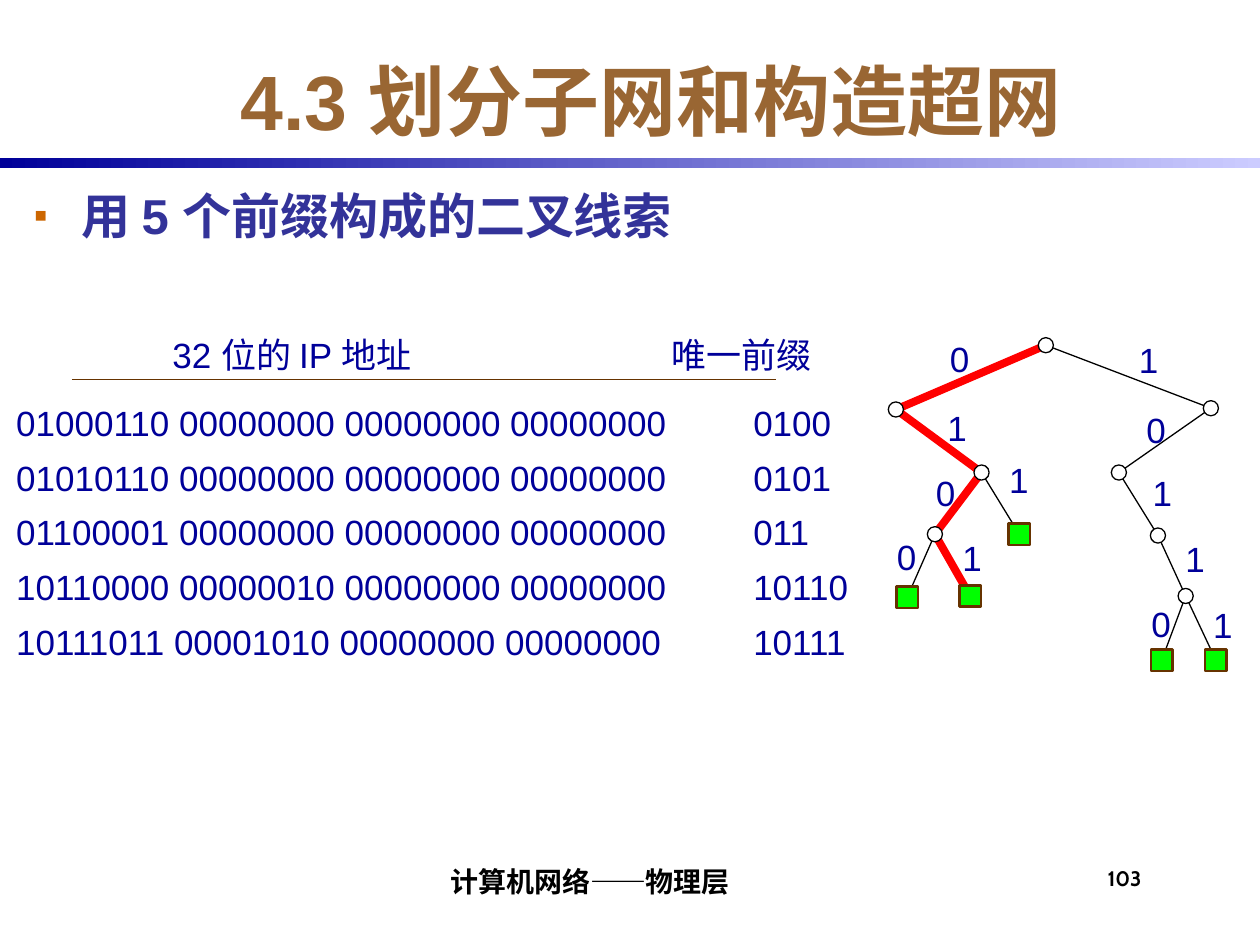
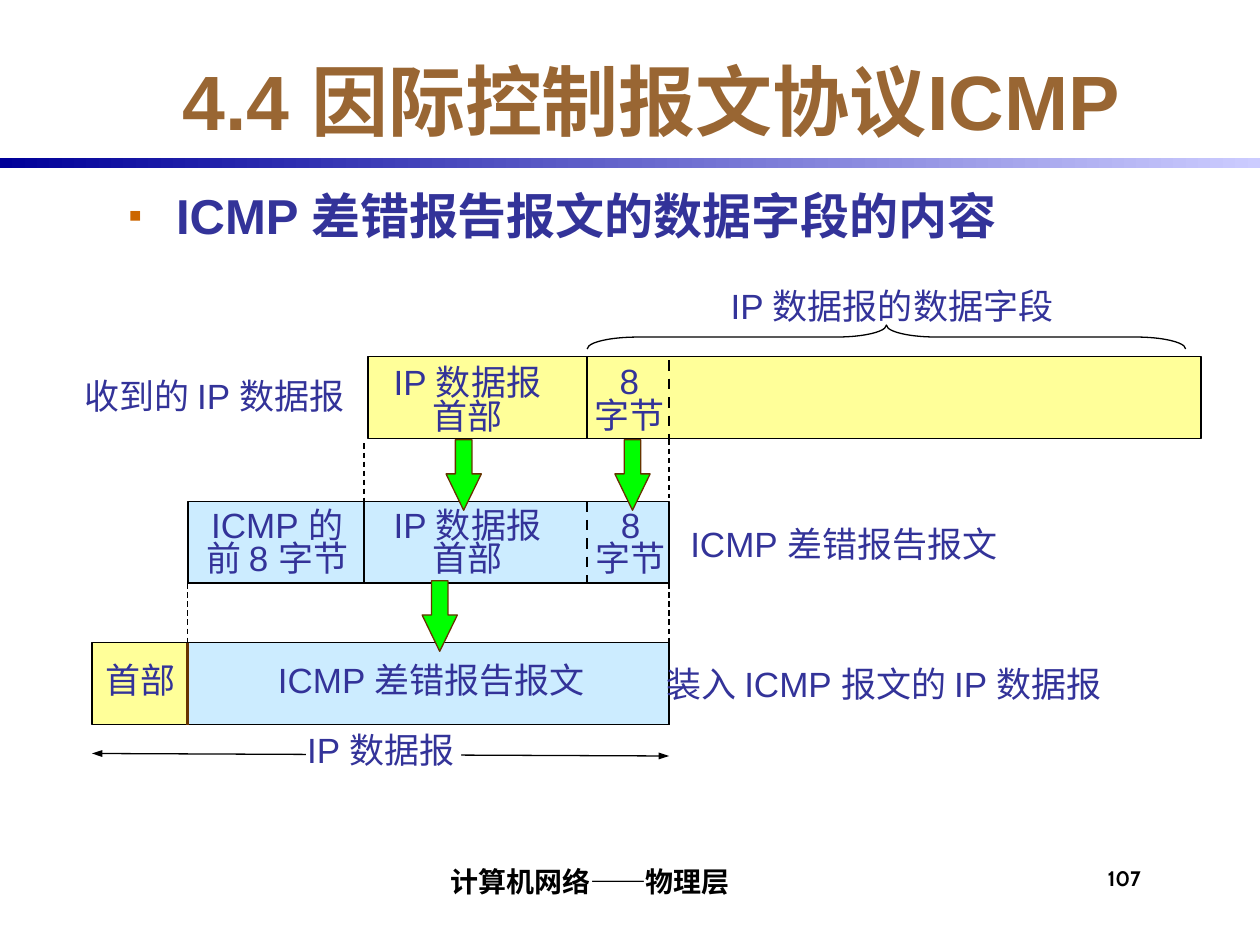
import pptx
import pptx.util
import pptx.dml.color
import pptx.enum.dml
import pptx.enum.shapes
import pptx.enum.text
import pptx.oxml.ns
from lxml import etree

Inches, Pt = pptx.util.Inches, pptx.util.Pt
SHAPE = pptx.enum.shapes.MSO_SHAPE
ALIGN = pptx.enum.text.PP_ALIGN
ANCHOR = pptx.enum.text.MSO_ANCHOR
FIT = pptx.enum.text.MSO_AUTO_SIZE


class Theme:
    title, body, bullet, code = "996633", "333399", "CC6600", "000099"
    black, white, brown = "000000", "FFFFFF", "663300"
    green, red, yellow, sky = "00FF00", "FF0000", "FFFF99", "CCECFF"
    band = ("000099", "CCCCFF")
    font, footer_font = "Arial", "Cabin"
    title_size, body_size, text_size, footer_size, number_size = 44, 28, 20, 16, 12
    thin, medium, thick, trail = 0.75, 1, 1.5, 4.5


# Content shared by the slides
FOOTER = "计算机网络——物理层"

# Content: prefix tree
TRIE = dict(title="4.3 划分子网和构造超网", heading="用 5 个前缀构成的二叉线索",
            heading_box=(0.17, 1.42, 9.48, 5), number="103")
ADDRESS_HEAD = ("32 位的 IP 地址", "唯一前缀")
ADDRESSES = [
    ("01000110 00000000 00000000 00000000", "0100"),
    ("01010110 00000000 00000000 00000000", "0101"),
    ("01100001 00000000 00000000 00000000", "011"),
    ("10110000 00000010 00000000 00000000", "10110"),
    ("10111011 00001010 00000000 00000000", "10111"),
]
# prefix: (centre of node, corner of the label on the edge leading to it)
NODES = {
    "": ((8.3, 2.74), None),
    "0": ((7.11, 3.25), (7.44, 2.63)),
    "1": ((9.61, 3.24), (8.94, 2.64)),
    "01": ((7.79, 3.75), (7.42, 3.18)),
    "10": ((8.88, 3.75), (9, 3.19)),
    "010": ((7.42, 4.24), (7.33, 3.69)),
    "101": ((9.19, 4.25), (9.05, 3.69)),
    "1011": ((9.41, 4.73), (9.31, 4.22)),
    "0100": ((7.2, 4.74), (7.02, 4.2)),
    "0101": ((7.7, 4.73), (7.54, 4.21)),
    "011": ((8.09, 4.24), (7.91, 3.59)),
    "10110": ((9.22, 5.24), (9.04, 4.73)),
    "10111": ((9.65, 5.24), (9.53, 4.74)),
}
LEAVES = [prefix for _, prefix in ADDRESSES]
TRAILS = [("10111", Theme.black, Theme.thin), ("0101", Theme.red, Theme.trail)]
BRANCHES = ["0100", "011", "10110"]

# Content: ICMP error report
ICMP = dict(title="4.4 因际控制报文协议ICMP", heading="ICMP 差错报告报文的数据字段的内容",
            heading_box=(0.92, 1.42, 8.5, 5), number="107")
X_HEAD, X_ICMP, X_IP, X_DATA, X_END = 0.73, 1.49, 2.89, 4.66, 5.31
Y_RECEIVED, Y_REPORT, Y_PACKET, BAR_H = 2.83, 3.98, 5.1, 0.65
# left, right, top, fill
BARS = [
    (X_HEAD, X_END, Y_PACKET, Theme.yellow),
    (X_ICMP, X_END, Y_PACKET, Theme.sky),
    (X_ICMP, X_END, Y_REPORT, Theme.sky),
    (2.92, 9.53, Y_RECEIVED, Theme.yellow),
]
# x, top, bottom, format
DASH = dict(dash=True)
SOLID_BAR = dict(width=Theme.thick)
DASH_BAR = dict(width=Theme.thick, dash=True)
UPRIGHTS = [
    (X_ICMP, Y_PACKET, Y_PACKET + BAR_H, dict(color=Theme.brown, width=Theme.thick)),
    (X_IP, Y_REPORT, Y_REPORT + BAR_H, SOLID_BAR),
    (X_DATA, Y_RECEIVED, Y_RECEIVED + BAR_H, SOLID_BAR),
    (X_DATA, Y_REPORT, Y_REPORT + BAR_H, DASH_BAR),
    (X_END, 2.86, 3.52, DASH_BAR),
    (X_END, 3.49, 3.95, DASH),
    (X_IP, 3.52, Y_REPORT, DASH),
    (X_ICMP, Y_REPORT + BAR_H, Y_PACKET, DASH),
    (X_END, Y_REPORT + BAR_H, Y_PACKET, DASH),
]
FIELDS = [
    (["首部"], (0.74, 5.24, 0.75, 0.37)),
    (["ICMP 差错报告报文"], (2.07, 5.24, 2.71, 0.37)),
    (["ICMP 的", "前 8 字节"], (1.47, 4.01, 1.46, 0.64)),
    (["IP 数据报", "首部"], (2.99, 2.88, 1.44, 0.64)),
    (["8", "字节"], (4.62, 2.87, 0.75, 0.64)),
    (["IP 数据报", "首部"], (2.99, 4.01, 1.44, 0.64)),
    (["8", "字节"], (4.63, 4.01, 0.75, 0.64)),
]
CAPTIONS = [
    ("IP 数据报", (2.34, 5.73, 1.44, 0.44)),
    ("装入 ICMP 报文的 IP 数据报", (5.19, 5.21, 3.93, 0.44)),
    ("ICMP 差错报告报文", (5.38, 4.1, 2.71, 0.44)),
    ("收到的 IP 数据报", (0.57, 2.92, 2.4, 0.44)),
    ("IP 数据报的数据字段", (5.7, 2.21, 2.83, 0.44)),
]
ARROWS = [(3.54, 3.49), (4.88, 3.49), (3.35, 4.61)]


# Helpers
def rgb(color):
    return pptx.dml.color.RGBColor.from_string(color)


def add_xml(parent, tag, **attributes):
    return etree.SubElement(parent, pptx.oxml.ns.qn(tag), attributes)


def set_all(target, values):
    for name, value in values.items():
        setattr(target, name, value)


def add_text(slide, box, lines, color, size=Theme.text_size, bold=False, font=Theme.font,
             wrap=False, insets=(0.1, 0.05, 0.1, 0.05), anchor=ANCHOR.TOP, **paragraph):
    tf = slide.shapes.add_textbox(*map(Inches, box)).text_frame
    sides = ("margin_left", "margin_top", "margin_right", "margin_bottom")
    set_all(tf, dict(zip(sides, map(Inches, insets)), word_wrap=wrap, vertical_anchor=anchor,
                     auto_size=FIT.NONE if wrap else FIT.SHAPE_TO_FIT_TEXT))
    for i, line in enumerate(lines):
        p = tf.paragraphs[0] if i == 0 else tf.add_paragraph()
        set_all(p, paragraph)
        r = p.add_run()
        r.text = line
        set_all(r.font, dict(name=font, size=Pt(size), bold=bold))
        r.font.color.rgb = rgb(color)
    return tf


def add_box(slide, kind, box, fill, line=None, width=Theme.thin, adjust=()):
    sp = slide.shapes.add_shape(kind, *map(Inches, box))
    for i, value in enumerate(adjust):
        sp.adjustments[i] = value
    style_shape(sp, fill, line, width)
    return sp


def style_shape(sp, fill, line, width):
    sp.shadow.inherit = False
    if fill:
        sp.fill.solid()
        sp.fill.fore_color.rgb = rgb(fill)
    else:
        sp.fill.background()
    if line:
        sp.line.color.rgb = rgb(line)
        sp.line.width = Pt(width)
    else:
        sp.line.fill.background()


def add_line(slide, start, end, color=Theme.black, width=Theme.thin, dash=False, arrows=False):
    c = slide.shapes.add_connector(pptx.enum.shapes.MSO_CONNECTOR.STRAIGHT,
                                   *map(Inches, (*start, *end)))
    c.line.color.rgb = rgb(color)
    c.line.width = Pt(width)
    if dash:
        c.line.dash_style = pptx.enum.dml.MSO_LINE.DASH
    if arrows:
        ln = c._element.spPr.find(pptx.oxml.ns.qn("a:ln"))
        for tag in ("a:headEnd", "a:tailEnd"):
            add_xml(ln, tag, type="triangle", w="sm", len="med")
    add_xml(c._element.spPr, "a:effectLst")


def add_tabs(p, stops):
    tabs = add_xml(p._p.get_or_add_pPr(), "a:tabLst")
    for stop in stops:
        add_xml(tabs, "a:tab", pos=str(Inches(stop)), algn="l")


def add_base(prs, title, heading, heading_box, number):
    slide = prs.slides.add_slide(prs.slide_layouts[6])
    # Band under the title
    band = add_box(slide, SHAPE.RECTANGLE, (0, 1.25, 10, 0.08), Theme.white)
    band.fill.gradient()
    band.fill.gradient_angle = 0
    for stop, color in zip(band.fill.gradient_stops, Theme.band):
        stop.color.rgb = rgb(color)
    # Title, footer and number
    add_text(slide, (0.92, 0.33, 8.5, 0.92), [title], Theme.title, Theme.title_size, True,
             wrap=True, anchor=ANCHOR.MIDDLE, alignment=ALIGN.CENTER)
    add_text(slide, (2.08, 6.75, 5.17, 0.42), [FOOTER], Theme.black, Theme.footer_size, True,
             Theme.footer_font, True, (0.04, 0, 0, 0.04), ANCHOR.BOTTOM,
             alignment=ALIGN.CENTER)
    add_text(slide, (8.75, 6.83, 0.58, 0.42), [number], Theme.black, Theme.number_size, True,
             Theme.footer_font, True, (0.04, 0.04, 0, 0))
    # Bulleted heading
    tf = add_text(slide, heading_box, [heading], Theme.body, Theme.body_size, True, wrap=True)
    pPr = tf.paragraphs[0]._p.get_or_add_pPr()
    pPr.set("marL", str(Inches(0.38)))
    pPr.set("indent", str(-Inches(0.38)))
    add_xml(add_xml(pPr, "a:buClr"), "a:srgbClr", val=Theme.bullet)
    add_xml(pPr, "a:buSzPct", val="80000")
    add_xml(pPr, "a:buFont", typeface=Theme.font)
    add_xml(pPr, "a:buChar", char="▪")
    return slide


def build_trie(prs):
    slide = add_base(prs, **TRIE)
    # Addresses and prefixes in tabbed columns
    lines = ["\t" + "\t".join(ADDRESS_HEAD)] + ["\t".join(row) for row in ADDRESSES]
    tf = add_text(slide, (0.03, 2.6, 6.85, 3.04), lines, Theme.code, wrap=True)
    head, *rows = tf.paragraphs
    head.space_after = Pt(7.5)
    add_tabs(head, (1.24, 5.2))
    for p in rows:
        p.line_spacing = 1.3
        add_tabs(p, (5.85,))
    add_line(slide, (0.57, 3.01), (6.16, 3.01), Theme.brown)

    # Edges
    for prefix, color, width in TRAILS:
        points = [tuple(map(Inches, NODES[prefix[:n]][0])) for n in range(len(prefix) + 1)]
        fb = slide.shapes.build_freeform(*points[0])
        fb.add_line_segments(points[1:], close=False)
        style_shape(fb.convert_to_shape(), None, color, width)
    for prefix in BRANCHES:
        add_line(slide, NODES[prefix[:-1]][0], NODES[prefix][0])

    # Edge labels, then nodes
    for prefix, (_, corner) in NODES.items():
        if corner:
            add_text(slide, (*corner, 0.35, 0.44), [prefix[-1]], Theme.code)
    for prefix, ((x, y), _) in NODES.items():
        if prefix in LEAVES:
            kind, d, look = SHAPE.RECTANGLE, 0.17, (Theme.green, Theme.brown, Theme.thick)
        else:
            kind, d, look = SHAPE.OVAL, 0.12, (Theme.white, Theme.black, Theme.thin)
        add_box(slide, kind, (x - d / 2, y - d / 2, d, d), *look)


def build_icmp(prs):
    slide = add_base(prs, **ICMP)
    # Message bars and their dividers
    for left, right, top, fill in BARS:
        add_box(slide, SHAPE.RECTANGLE, (left, top, right - left, BAR_H), fill,
                Theme.black, Theme.medium)
    for x, top, bottom, style in UPRIGHTS:
        add_line(slide, (x, top), (x, bottom), **style)
    # Length of the whole packet, with a gap for its caption
    add_line(slide, (X_HEAD, 5.98), (X_END, 6), arrows=True)
    add_box(slide, SHAPE.RECTANGLE, (2.43, 5.82, 1.23, 0.34), Theme.white)
    # Texts
    for lines, box in FIELDS:
        add_text(slide, box, lines, Theme.body, insets=(0, 0.05, 0, 0.05),
                 alignment=ALIGN.CENTER, line_spacing=0.8)
    for caption, box in CAPTIONS:
        add_text(slide, box, [caption], Theme.body)
    # Arrows between the bars, brace over the data field
    for x, y in ARROWS:
        add_box(slide, SHAPE.DOWN_ARROW, (x, y, 0.28, 0.56), Theme.green, Theme.brown,
                adjust=(0.47, 1.03))
    brace = add_box(slide, SHAPE.LEFT_BRACE, (6.94, 0.3, 0.19, 4.75), None, Theme.black,
                    adjust=(2.1, 0.5))
    brace.rotation = 90


def main():
    prs = pptx.Presentation()
    prs.slide_width, prs.slide_height = Inches(10), Inches(7.5)
    build_trie(prs)
    build_icmp(prs)
    prs.save("out.pptx")


if __name__ == "__main__":
    main()
